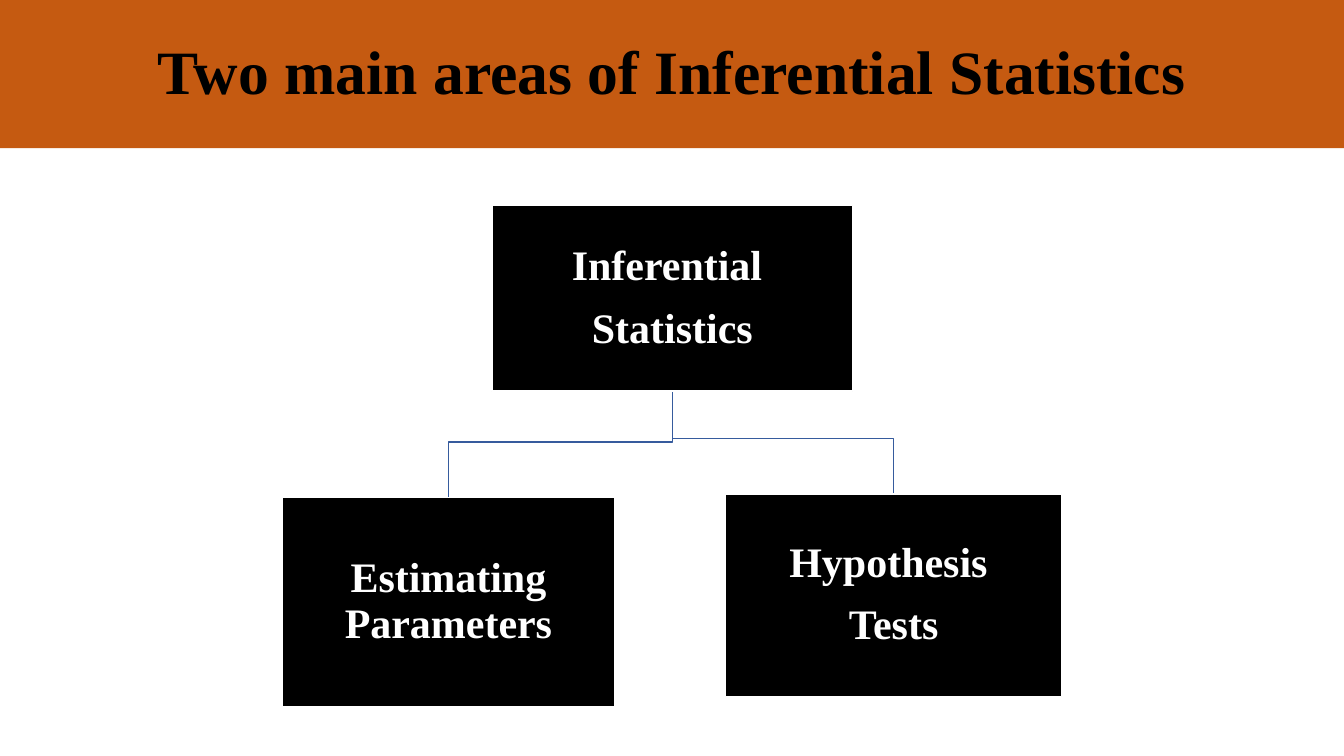
"""Build a slide with a title band and a two-branch hierarchy of inferential statistics."""
from dataclasses import dataclass

from pptx import Presentation
from pptx.dml.color import RGBColor
from pptx.enum.shapes import MSO_SHAPE
from pptx.enum.text import MSO_ANCHOR, PP_ALIGN
from pptx.util import Inches, Pt

RECTANGLE = MSO_SHAPE.RECTANGLE
MIDDLE = MSO_ANCHOR.MIDDLE
CENTER = PP_ALIGN.CENTER

SLIDE_WIDTH = Inches(13.333)
SLIDE_HEIGHT = Inches(7.5)
TITLE_ONLY_LAYOUT = 5
FONT = "Times New Roman"
BAND_COLOR = "C55A11"
BLACK = "000000"
WHITE = "FFFFFF"
BRANCH_COLOR = "365B9D"
BAND_HEIGHT = 19.6
BEND_RISE = 7.33


@dataclass(frozen=True)
class Box:
    """A labelled box placed in percent of the slide's width and height."""
    lines: tuple[str, ...]
    left: float
    top: float
    width: float
    height: float

    @property
    def center(self) -> float:
        return self.left + self.width / 2

    @property
    def bottom(self) -> float:
        return self.top + self.height


ROOT = Box(("Inferential ", "Statistics"), 36.6, 27.2, 26.85, 24.53)
AREAS = (
    Box(("Estimating Parameters",), 21, 65.77, 24.75, 27.73),
    Box(("Hypothesis ", "Tests"), 54, 65.33, 25, 26.8),
)


def across(percent: float) -> int:
    """Return a share of the slide's width."""
    return round(SLIDE_WIDTH * percent / 100)


def down(percent: float) -> int:
    """Return a share of the slide's height."""
    return round(SLIDE_HEIGHT * percent / 100)


def paint(color_owner, color: str) -> None:
    """Fill a shape or a line with a solid colour."""
    color_owner.fill.solid()
    color_owner.fill.fore_color.rgb = RGBColor.from_string(color)


def write(text_frame, lines: tuple[str, ...], size: float, color: str, space_after: float) -> None:
    """Write centred bold paragraphs into a text frame."""
    text_frame.word_wrap = True
    text_frame.vertical_anchor = MIDDLE
    for index, line in enumerate(lines):
        paragraph = text_frame.add_paragraph() if index else text_frame.paragraphs[0]
        paragraph.alignment = CENTER
        paragraph.line_spacing = 0.9
        paragraph.space_before = Pt(0)
        paragraph.space_after = Pt(space_after)
        run = paragraph.add_run()
        run.text = line
        run.font.name = FONT
        run.font.size = Pt(size)
        run.font.bold = True
        run.font.color.rgb = RGBColor.from_string(color)


def add_title(slide, text: str) -> None:
    """Turn the title placeholder into a full-width band."""
    title = slide.shapes.title
    title.left, title.top = 0, 0
    title.width, title.height = SLIDE_WIDTH, down(BAND_HEIGHT)
    paint(title, BAND_COLOR)
    write(title.text_frame, (text,), 44, BLACK, 0)


def add_branch(slide, parent: Box, child: Box) -> None:
    """Draw the bent line from a parent box to a child box."""
    bend = down(child.top - BEND_RISE)
    start, end = across(parent.center), across(child.center)
    builder = slide.shapes.build_freeform(start, down(parent.bottom))
    builder.add_line_segments([(start, bend), (end, bend), (end, down(child.top))], close=False)
    branch = builder.convert_to_shape()
    branch.shadow.inherit = False
    branch.fill.background()
    paint(branch.line, BRANCH_COLOR)
    branch.line.width = Pt(1)


def add_box(slide, box: Box) -> None:
    """Draw a black box with its white label."""
    shape = slide.shapes.add_shape(
        RECTANGLE, across(box.left), down(box.top), across(box.width), down(box.height)
    )
    shape.shadow.inherit = False
    paint(shape, BLACK)
    paint(shape.line, WHITE)
    shape.line.width = Pt(1)
    text_frame = shape.text_frame
    text_frame.margin_left = text_frame.margin_right = Inches(0.02)
    text_frame.margin_top = text_frame.margin_bottom = Inches(0.02)
    write(text_frame, box.lines, 30, WHITE, 12)


def main() -> None:
    """Build and save the presentation."""
    presentation = Presentation()
    presentation.slide_width = SLIDE_WIDTH
    presentation.slide_height = SLIDE_HEIGHT
    slide = presentation.slides.add_slide(presentation.slide_layouts[TITLE_ONLY_LAYOUT])
    add_title(slide, "Two main areas of Inferential Statistics")
    for area in reversed(AREAS):
        add_branch(slide, ROOT, area)
    for box in (ROOT, *AREAS):
        add_box(slide, box)
    presentation.save("out.pptx")


if __name__ == "__main__":
    main()
